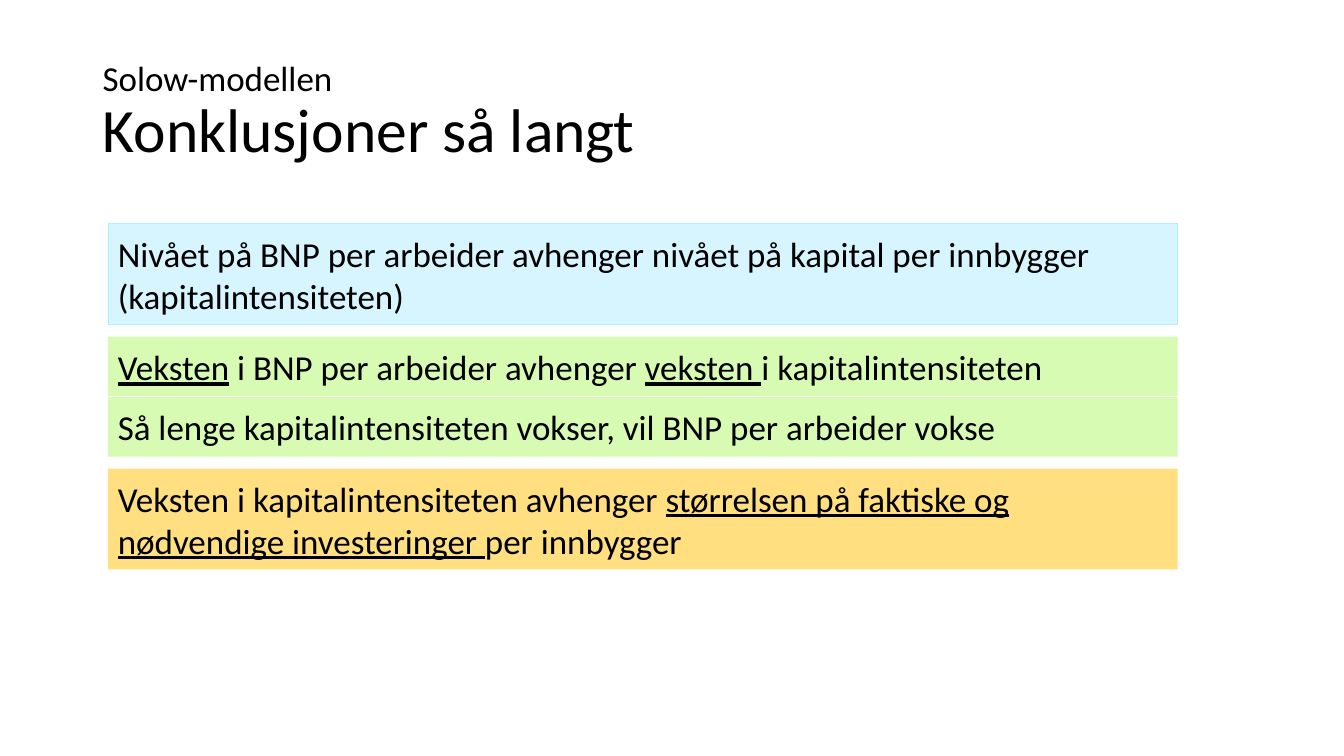
from dataclasses import dataclass

from lxml.etree import SubElement
from pptx import Presentation
from pptx.dml.color import RGBColor
from pptx.dml.fill import FillFormat
from pptx.enum.shapes import MSO_SHAPE
from pptx.enum.text import MSO_ANCHOR, PP_ALIGN
from pptx.oxml.ns import qn
from pptx.slide import Slide
from pptx.text.text import _Paragraph
from pptx.util import Inches, Pt

COLORS = {"text": "000000", "level": "B2EDFF", "growth": "B8F977", "investment": "FFC000"}
FONT = "Calibri"
BODY_SIZE = 25
HEADING_SIZE = 44
BOX_LEFT, BOX_WIDTH = 1.07, 10.61


@dataclass(frozen=True)
class Phrase:
    text: str
    underlined: bool = False


@dataclass(frozen=True)
class Conclusion:
    top: float
    height: float
    color: str
    opacity: int
    phrases: tuple[Phrase, ...]
    outlined: bool = False


CONCLUSIONS = (
    Conclusion(2.22, 1, "level", 52, (
        Phrase("Nivået på BNP per arbeider avhenger nivået på kapital per innbygger (kapitalintensiteten)"),
    ), outlined=True),
    Conclusion(3.34, 0.59, "growth", 56, (
        Phrase("Veksten", True),
        Phrase(" i BNP per arbeider avhenger "),
        Phrase("veksten ", True),
        Phrase("i kapitalintensiteten"),
    )),
    Conclusion(3.94, 0.59, "growth", 56, (
        Phrase("Så lenge kapitalintensiteten vokser, vil BNP per arbeider vokse"),
    )),
    Conclusion(4.65, 1, "investment", 50, (
        Phrase("Veksten i kapitalintensiteten avhenger "),
        Phrase("størrelsen på faktiske og nødvendige investeringer ", True),
        Phrase("per innbygger"),
    )),
)


def rgb(name: str) -> RGBColor:
    return RGBColor.from_string(COLORS[name])


def style_paragraph(paragraph: _Paragraph) -> None:
    paragraph.alignment = PP_ALIGN.LEFT
    paragraph.font.name = FONT
    paragraph.font.size = Pt(BODY_SIZE)
    paragraph.font.color.rgb = rgb("text")


def fill_translucent(fill: FillFormat, color: str, opacity: int) -> None:
    fill.solid()
    fill.fore_color.rgb = rgb(color)
    srgb = fill._xPr.find(qn("a:solidFill")).find(qn("a:srgbClr"))
    SubElement(srgb, qn("a:alpha")).set("val", str(opacity * 1000))


def add_title(slide: Slide, topic: str, heading: str) -> None:
    title = slide.shapes.add_textbox(Inches(0.92), Inches(0.4), Inches(11.5), Inches(1.45))
    frame = title.text_frame
    frame.word_wrap = True
    frame.vertical_anchor = MSO_ANCHOR.MIDDLE
    paragraph = frame.paragraphs[0]
    style_paragraph(paragraph)
    paragraph.line_spacing = 0.9
    paragraph.add_run().text = topic
    paragraph.add_line_break()
    heading_run = paragraph.add_run()
    heading_run.text = heading
    heading_run.font.size = Pt(HEADING_SIZE)


def add_conclusion(slide: Slide, conclusion: Conclusion) -> None:
    box = slide.shapes.add_shape(
        MSO_SHAPE.RECTANGLE,
        Inches(BOX_LEFT), Inches(conclusion.top), Inches(BOX_WIDTH), Inches(conclusion.height),
    )
    box.shadow.inherit = False
    fill_translucent(box.fill, conclusion.color, conclusion.opacity)
    if conclusion.outlined:
        box.line.color.rgb = rgb(conclusion.color)
        box.line.width = Pt(0.5)
    else:
        box.line.fill.background()

    frame = box.text_frame
    frame.word_wrap = True
    frame.vertical_anchor = MSO_ANCHOR.MIDDLE
    paragraph = frame.paragraphs[0]
    style_paragraph(paragraph)
    for phrase in conclusion.phrases:
        run = paragraph.add_run()
        run.text = phrase.text
        if phrase.underlined:
            run.font.underline = True


def main() -> None:
    presentation = Presentation()
    presentation.slide_width = Inches(13.33)
    presentation.slide_height = Inches(7.5)
    slide = presentation.slides.add_slide(presentation.slide_layouts[6])
    add_title(slide, "Solow-modellen", "Konklusjoner så langt")
    for conclusion in CONCLUSIONS:
        add_conclusion(slide, conclusion)
    presentation.save("out.pptx")


if __name__ == "__main__":
    main()
